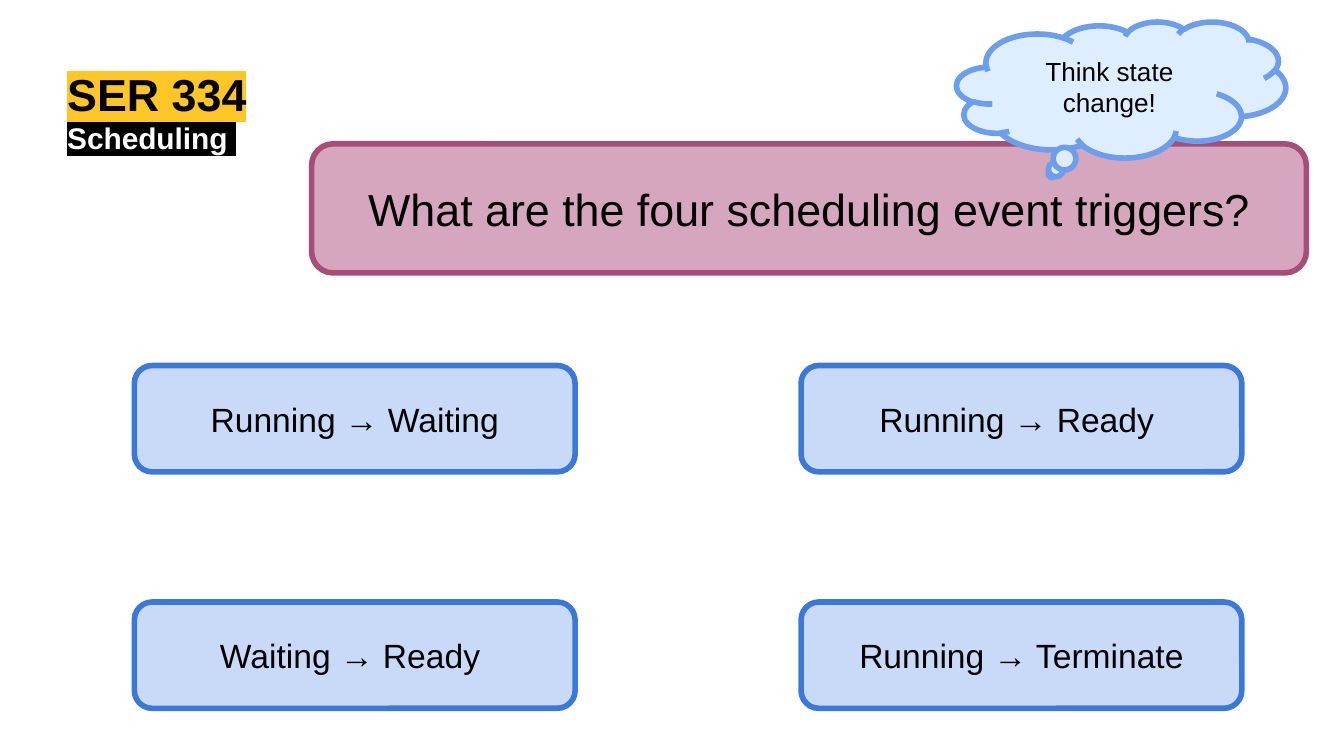
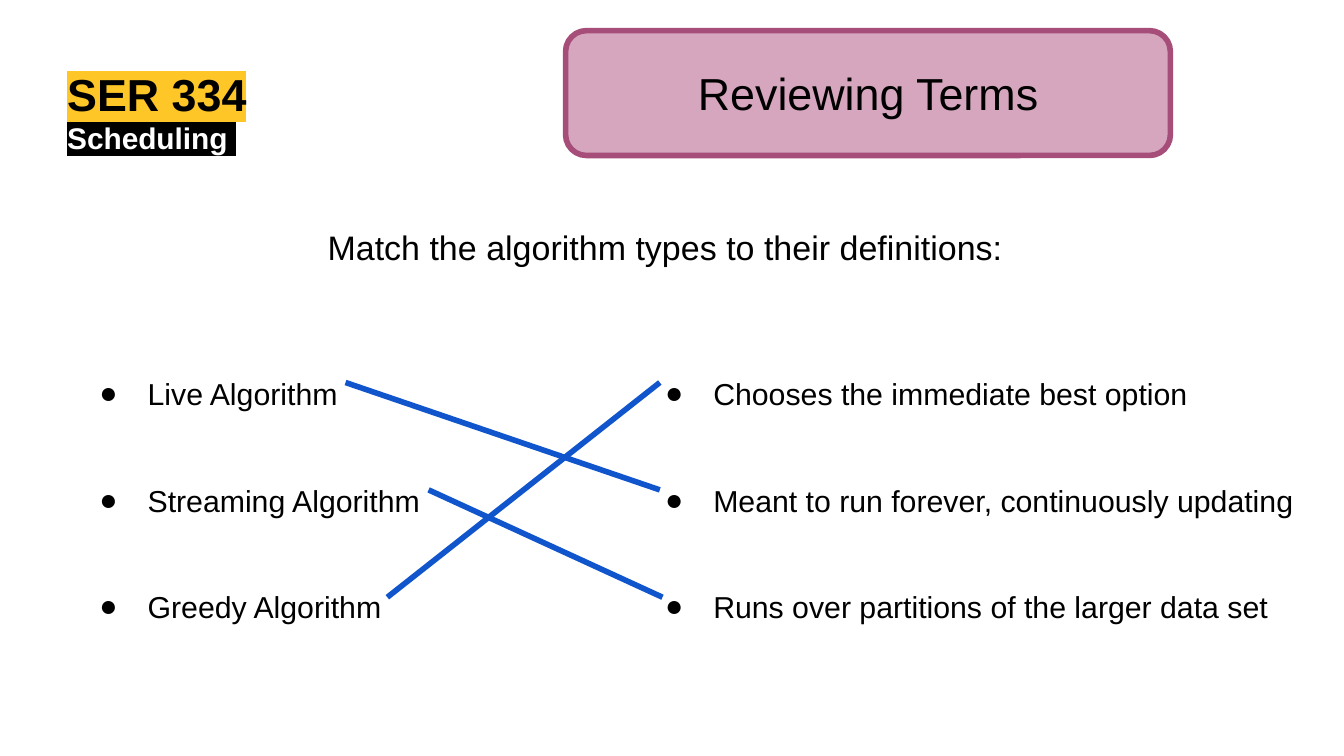
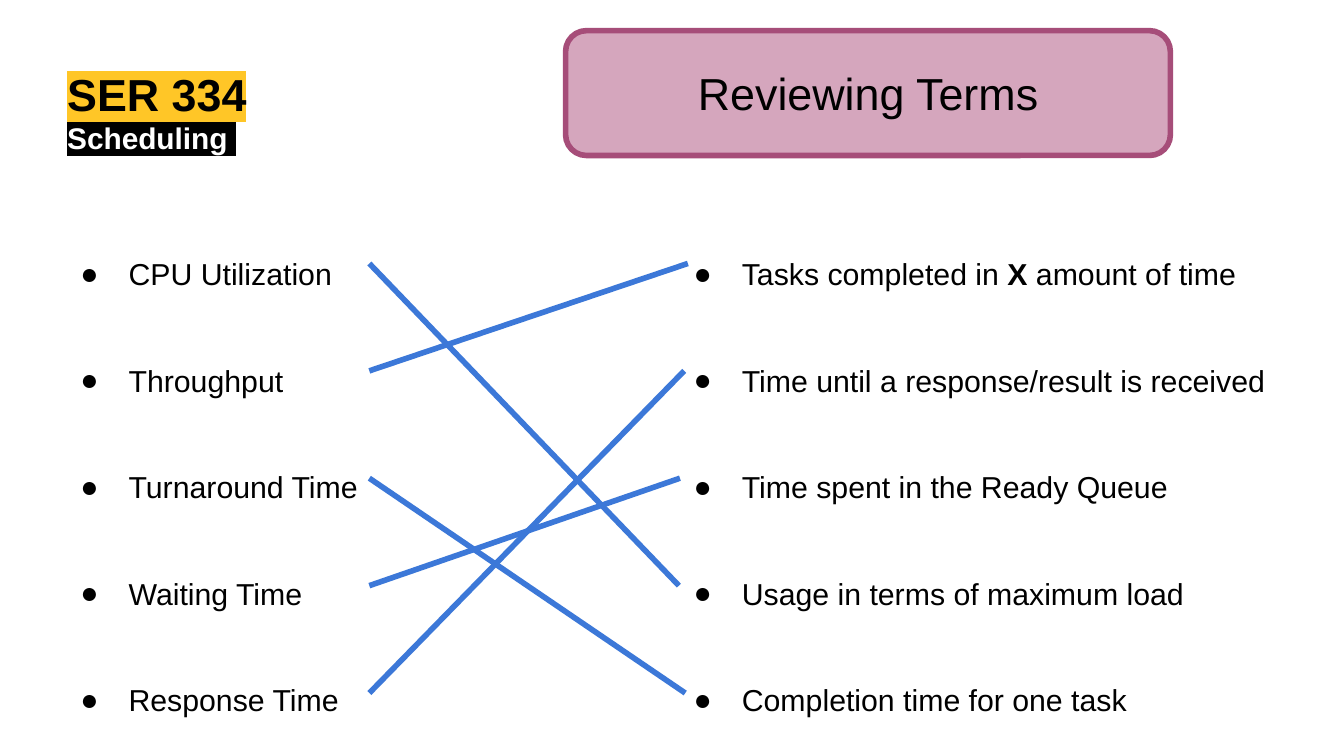
from lxml.etree import SubElement
from pptx import Presentation
from pptx.dml.color import RGBColor
from pptx.enum.shapes import MSO_CONNECTOR as Connector, MSO_SHAPE as Shape
from pptx.enum.text import MSO_ANCHOR as Anchor, MSO_AUTO_SIZE as AutoSize, PP_ALIGN as Align
from pptx.oxml.ns import qn
from pptx.util import Cm, Pt

FONT = "Arial"
COLORS = {
    "black": "000000",
    "white": "FFFFFF",
    "gold": "FFC627",
    "header": "D5A6BD",
    "header_line": "A64D79",
    "answer": "C9DAF8",
    "blue": "3C78D8",
    "deep_blue": "1155CC",
    "hint": "DEEEFF",
    "hint_line": "6D9EEB",
}
LINE_WIDTH = Pt(3)
INSET = 0.25
ROW_PITCH = 2.03
TITLE, TOPIC, TERMS, PROMPT, DEFINITIONS = range(5)
HEADER_BOX = (10.69, 0.58, 11.43, 2.36)


def rgb(name):
    return RGBColor.from_string(COLORS[name])


def style_run(run, size, color="black", bold=False):
    run.font.name = FONT
    run.font.size = Pt(size)
    run.font.bold = bold
    run.font.color.rgb = rgb(color)


def highlight(run, color):
    mark = run.font.fill._xPr.makeelement(qn("a:highlight"), {})
    SubElement(mark, qn("a:srgbClr"), val=COLORS[color])
    run.font.fill._xPr.find(qn("a:solidFill")).addnext(mark)


def place(shape, box):
    shape.left, shape.top, shape.width, shape.height = map(Cm, box)


def set_frame(frame, inset, anchor=Anchor.TOP):
    frame.word_wrap = True
    frame.auto_size = AutoSize.NONE
    frame.vertical_anchor = anchor
    frame.margin_left = frame.margin_right = Cm(inset)
    frame.margin_top = frame.margin_bottom = Cm(inset)


def fill_placeholder(slide, idx, text, box, size, color="black", bold=False, inset=0):
    holder = slide.placeholders[idx]
    place(holder, box)
    set_frame(holder.text_frame, inset)
    holder.text_frame.text = text
    paragraph = holder.text_frame.paragraphs[0]
    paragraph.alignment = Align.LEFT
    paragraph.space_before = Pt(0)
    run = paragraph.runs[0]
    style_run(run, size, color, bold)
    return run


def add_slide(deck):
    slide = deck.slides.add_slide(deck.slide_layouts[4])
    course = fill_placeholder(slide, TITLE, "SER 334", (1.27, 1.27, 12.32, 0.99), 24, bold=True)
    highlight(course, "gold")
    topic = fill_placeholder(slide, TOPIC, "Scheduling ", (1.27, 2.26, 16.54, 0.74), 16, "white", True)
    highlight(topic, "black")
    return slide


def add_panel(slide, text, box, size, fill, line, preset=Shape.ROUNDED_RECTANGLE):
    panel = slide.shapes.add_shape(preset, *map(Cm, box))
    panel.shadow.inherit = False
    panel.fill.solid()
    panel.fill.fore_color.rgb = rgb(fill)
    panel.line.color.rgb = rgb(line)
    panel.line.width = LINE_WIDTH
    set_frame(panel.text_frame, INSET, Anchor.MIDDLE)
    panel.text_frame.text = text
    paragraph = panel.text_frame.paragraphs[0]
    paragraph.alignment = Align.CENTER
    style_run(paragraph.runs[0], size)
    return panel


def add_header(slide, text, box=HEADER_BOX):
    add_panel(slide, text, box, 24, "header", "header_line")


def add_bullet(paragraph):
    props = paragraph._p.get_or_add_pPr()
    props.set("marL", str(Cm(1.27)))
    props.set("indent", str(Cm(-0.91)))
    SubElement(SubElement(props, qn("a:buClr")), qn("a:srgbClr"), val=COLORS["black"])
    SubElement(props, qn("a:buFont"), typeface=FONT)
    SubElement(props, qn("a:buChar"), char="●")


def fill_list(slide, idx, entries, box):
    holder = slide.placeholders[idx]
    place(holder, box)
    frame = holder.text_frame
    set_frame(frame, INSET)
    for number, entry in enumerate(entries):
        paragraph = frame.add_paragraph() if number else frame.paragraphs[0]
        paragraph.line_spacing = 1.5
        paragraph.space_before = Pt(0)
        paragraph.space_after = Pt(27.9)
        add_bullet(paragraph)
        for part, words in enumerate(entry.split("*")):
            run = paragraph.add_run()
            run.text = words
            style_run(run, 16.2, bold=part % 2 == 1)


def add_matches(slide, matches, first_row, color):
    for term_x, term_row, definition_x, definition_row in matches:
        match = slide.shapes.add_connector(
            Connector.STRAIGHT,
            Cm(term_x), Cm(first_row + term_row * ROW_PITCH),
            Cm(definition_x), Cm(first_row + definition_row * ROW_PITCH),
        )
        match.line.color.rgb = rgb(color)
        match.line.width = LINE_WIDTH
        SubElement(match._element.spPr, qn("a:effectLst"))


def remove_empty_placeholders(slide):
    for holder in list(slide.placeholders):
        if not holder.text_frame.text:
            holder._element.getparent().remove(holder._element)


def build_triggers(deck):
    slide = add_slide(deck)
    add_header(slide, "What are the four scheduling event triggers?", (5.89, 2.72, 18.8, 2.44))
    triggers = ["Running → Waiting", "Running → Ready ", "Waiting → Ready ", "Running → Terminate"]
    for number, trigger in enumerate(triggers):
        row, column = divmod(number, 2)
        box = (2.54 + column * 12.6, 6.91 + row * 4.47, 8.33, 2.01)
        add_panel(slide, trigger, box, 18, "answer", "blue")
    hint = add_panel(slide, "Think state change!", (18.08, 0.41, 6.22, 2.57), 14,
                     "hint", "hint_line", Shape.CLOUD_CALLOUT)
    hint.adjustments[0] = -0.21
    hint.adjustments[1] = 0.62
    remove_empty_placeholders(slide)


def build_algorithm_terms(deck):
    slide = add_slide(deck)
    add_header(slide, "Reviewing Terms")
    fill_placeholder(slide, PROMPT, "Match the algorithm types to their definitions:",
                     (5.94, 4.04, 13.51, 1.42), 18.2, inset=INSET)
    fill_list(slide, TERMS, ["Live Algorithm", "Streaming Algorithm", "Greedy Algorithm"],
              (1.27, 6.5, 10.69, 5.28))
    fill_list(slide, DEFINITIONS, [
        "Chooses the immediate best option",
        "Meant to run forever, continuously updating",
        "Runs over partitions of the larger data set",
    ], (11.96, 6.5, 13.03, 5.28))
    matches = [(6.53, 0, 12.47, 1), (8.1, 1, 12.52, 2), (7.32, 2, 12.47, 0)]
    add_matches(slide, matches, 7.23, "deep_blue")
    remove_empty_placeholders(slide)


def build_metric_terms(deck):
    slide = add_slide(deck)
    add_header(slide, "Reviewing Terms")
    fill_list(slide, TERMS, [
        "CPU Utilization",
        "Throughput",
        "Turnaround Time",
        "Waiting Time",
        "Response Time",
    ], (0.91, 4.24, 10.69, 9.83))
    fill_list(slide, DEFINITIONS, [
        "Tasks completed in *X* amount of time",
        "Time until a response/result is received",
        "Time spent in the Ready Queue",
        "Usage in terms of maximum load",
        "Completion time for one task",
    ], (12.5, 4.24, 12.62, 9.83))
    definition_ends = [(12.83, 3), (13, 0), (12.95, 4), (12.85, 2), (12.93, 1)]
    matches = [(6.98, row, *end) for row, end in enumerate(definition_ends)]
    add_matches(slide, matches, 4.98, "blue")
    remove_empty_placeholders(slide)


def main():
    deck = Presentation()
    deck.slide_width, deck.slide_height = Cm(25.4), Cm(14.29)
    build_triggers(deck)
    build_algorithm_terms(deck)
    build_metric_terms(deck)
    deck.save("out.pptx")


if __name__ == "__main__":
    main()
